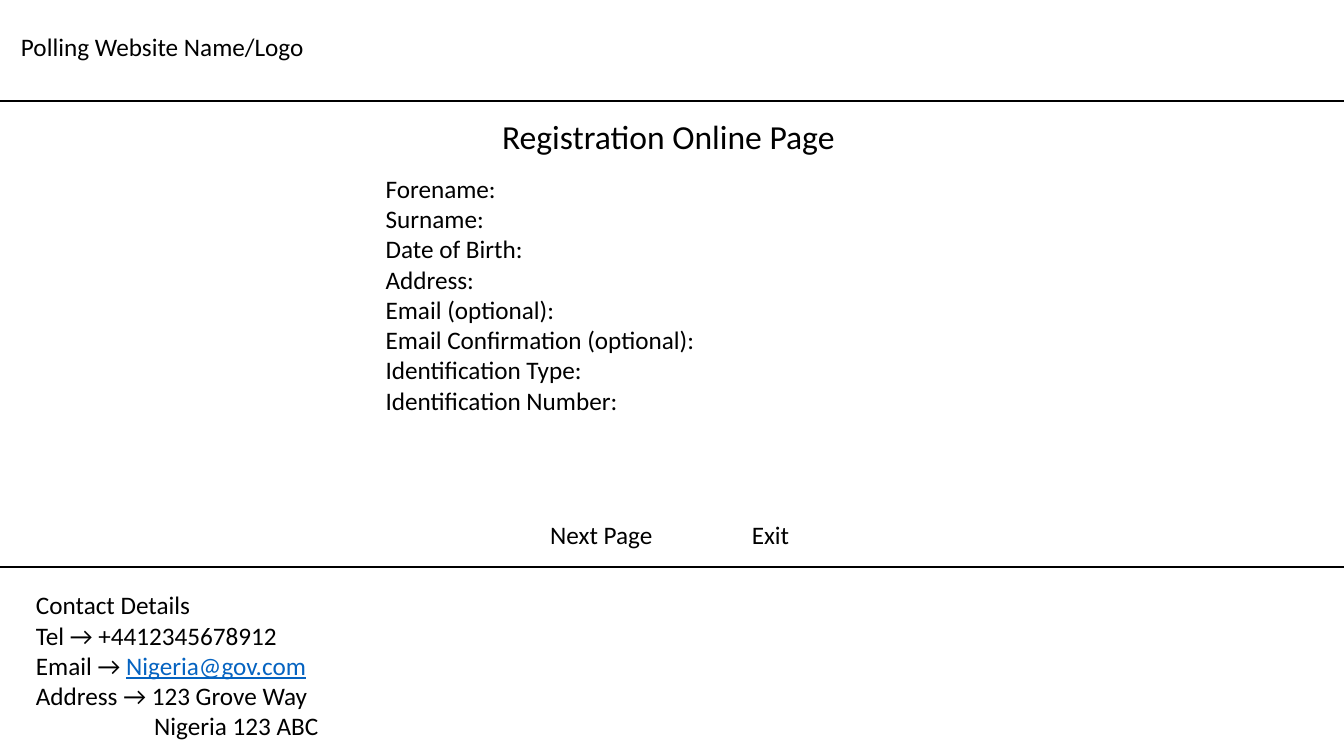
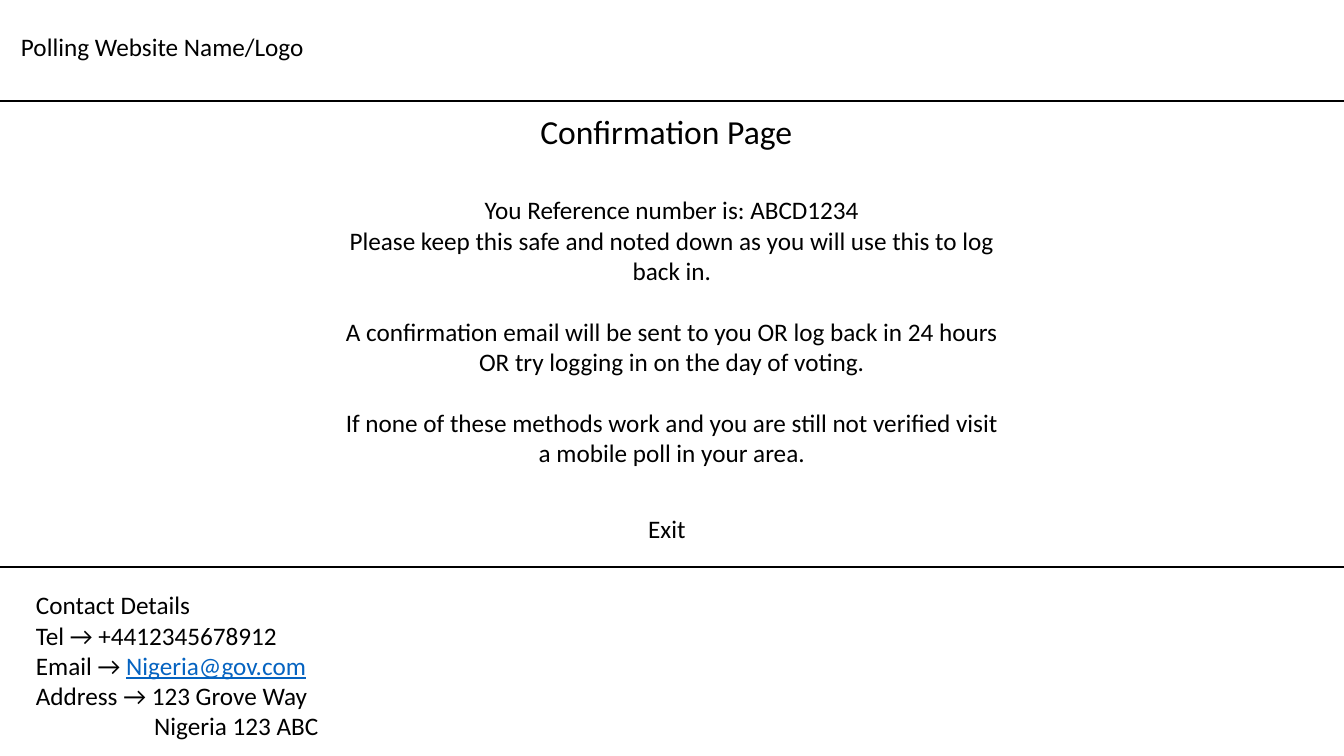
from pptx import Presentation
from pptx.dml.color import RGBColor
from pptx.enum.shapes import MSO_CONNECTOR
from pptx.enum.text import MSO_ANCHOR, MSO_AUTO_SIZE, PP_ALIGN
from pptx.oxml.ns import qn
from pptx.util import Pt
from lxml.etree import SubElement

BLACK = RGBColor(0x00, 0x00, 0x00)
LINK_BLUE = RGBColor(0x05, 0x63, 0xC1)
FONT = "Calibri"
TITLE_SIZE, TEXT_SIZE = 24, 18
BLANK_LINE = 22
SLIDE_WIDTH, SLIDE_HEIGHT = 960, 540
RULE_TOPS = (72, 404.8)

# Boxes are (left, top, width, height) in points.
BRAND = "Polling Website Name/Logo"
BRAND_BOX = (7.9, 18.7, 417, 29)
CONTACT = [
    "Contact Details",
    "Tel → +4412345678912",
    "Email → ",
    "Address → 123 Grove Way",
    "Nigeria 123 ABC",
]
CONTACT_BOX = (18.6, 417.6, 399, 116.6)
EMAIL = "Nigeria@gov.com"
EMAIL_LINE, CITY_LINE = 2, 4
CITY_INDENT = 84.5

PAGES = [
    {
        "title": "Registration Online Page",
        "title_box": (351.4, 79.2, 257, 36),
        "body": [
            "Forename:",
            "Surname:",
            "Date of Birth:",
            "Address:",
            "Email (optional):",
            "Email Confirmation (optional):",
            "Identification Type:",
            "Identification Number:",
        ],
        "body_box": (268.2, 120.2, 423.4, 181.4),
        "align": PP_ALIGN.LEFT,
        "gaps_before": (),
        "actions": [
            ("Next Page", (385.9, 367.2, 100, 29)),
            ("Exit", (529.9, 367.2, 48, 29)),
        ],
    },
    {
        "title": "Confirmation Page",
        "title_box": (378.7, 75.6, 202.3, 36),
        "body": [
            "You Reference number is: ABCD1234",
            "Please keep this safe and noted down as you will use this to log back in.",
            "A confirmation email will be sent to you OR log back in 24 hours "
            "OR try logging in on the day of voting.",
            "If none of these methods work and you are still not verified visit "
            "a mobile poll in your area.",
        ],
        "body_box": (238.7, 135.4, 482.4, 203.8),
        "align": PP_ALIGN.CENTER,
        "gaps_before": (2, 3),
        "actions": [("Exit", (455.8, 362.9, 48.5, 29))],
    },
]


def fill_text(shape, box, lines, size=TEXT_SIZE, align=PP_ALIGN.LEFT):
    """Place a text box or placeholder and give it plain, unbulleted lines."""
    shape.left, shape.top, shape.width, shape.height = map(Pt, box)
    frame = shape.text_frame
    frame.text = "\n".join(lines)
    frame.word_wrap = True
    frame.auto_size = MSO_AUTO_SIZE.NONE
    frame.vertical_anchor = MSO_ANCHOR.TOP
    for paragraph in frame.paragraphs:
        paragraph.alignment = align
        paragraph.space_before = Pt(0)
        properties = paragraph._p.get_or_add_pPr()
        properties.set("marL", "0")
        properties.set("indent", "0")
        SubElement(properties, qn("a:buNone"))
        for run in paragraph.runs:
            style_run(run, size)
    return frame.paragraphs


def style_run(run, size=TEXT_SIZE, color=BLACK):
    run.font.name = FONT
    run.font.size = Pt(size)
    run.font.color.rgb = color


def add_text(slide, box, lines):
    return fill_text(slide.shapes.add_textbox(0, 0, 0, 0), box, lines)


def add_rule(slide, top):
    rule = slide.shapes.add_connector(
        MSO_CONNECTOR.STRAIGHT, 0, Pt(top), Pt(SLIDE_WIDTH), Pt(top))
    rule.line.color.rgb = BLACK
    rule.line.width = Pt(1.5)
    SubElement(rule._element.spPr, qn("a:effectLst"))


def add_site_frame(slide):
    """Add the header, the two rules and the contact footer of every page."""
    add_text(slide, BRAND_BOX, [BRAND])
    for top in RULE_TOPS:
        add_rule(slide, top)
    contact = add_text(slide, CONTACT_BOX, CONTACT)
    email = contact[EMAIL_LINE].add_run()
    email.text = EMAIL
    style_run(email, color=LINK_BLUE)
    email.font.underline = True
    contact[CITY_LINE]._p.get_or_add_pPr().set("marL", str(Pt(CITY_INDENT)))


def add_page(prs, page):
    slide = prs.slides.add_slide(prs.slide_layouts[1])
    title, body = slide.placeholders
    fill_text(title, page["title_box"], [page["title"]], TITLE_SIZE)
    paragraphs = fill_text(body, page["body_box"], page["body"], align=page["align"])
    for index in page["gaps_before"]:
        paragraphs[index].space_before = Pt(BLANK_LINE)
    for label, box in page["actions"]:
        add_text(slide, box, [label])
    add_site_frame(slide)


def main():
    prs = Presentation()
    prs.slide_width, prs.slide_height = Pt(SLIDE_WIDTH), Pt(SLIDE_HEIGHT)
    for page in PAGES:
        add_page(prs, page)
    prs.save("out.pptx")


if __name__ == "__main__":
    main()
